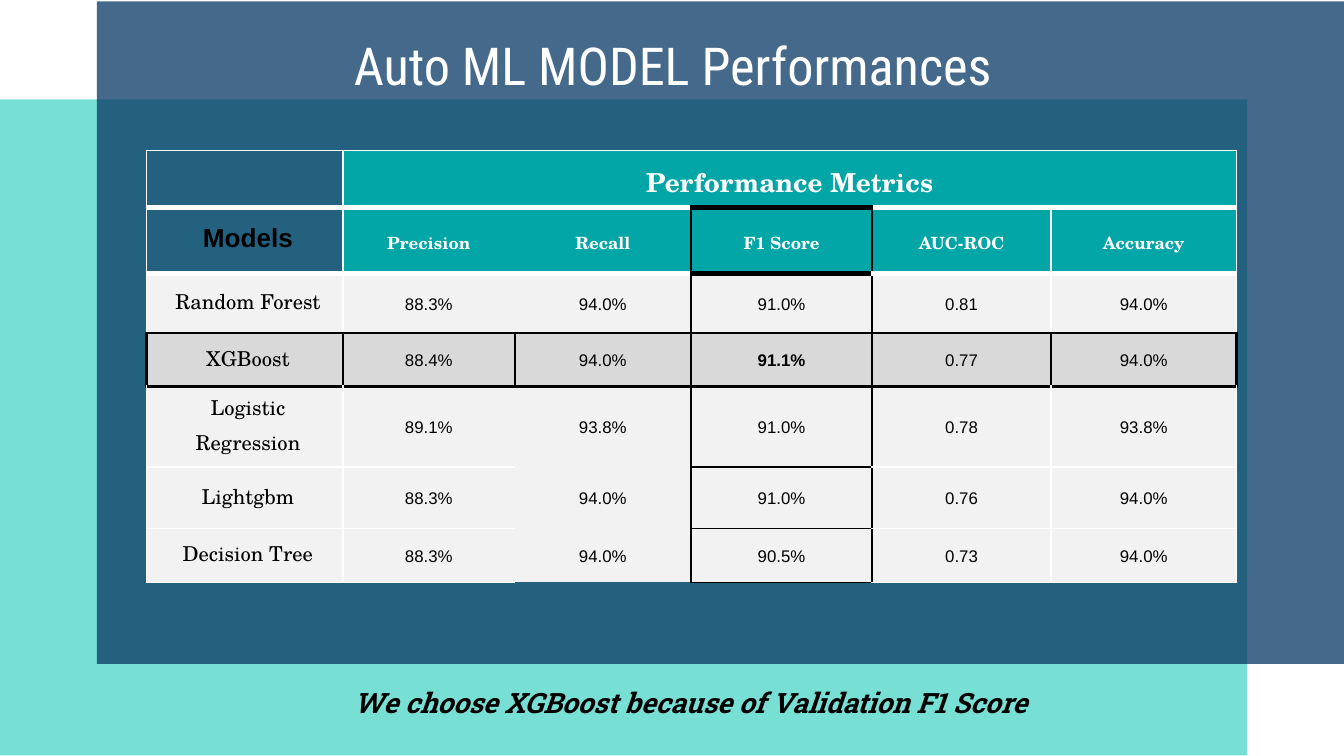
from dataclasses import dataclass
from typing import NamedTuple, Optional

from lxml import etree
from pptx import Presentation
from pptx.dml.color import RGBColor
from pptx.enum import shapes, text
from pptx.oxml import ns
from pptx.util import Inches, Pt


@dataclass(frozen=True)
class Theme:
    white: str = "FFFFFF"
    black: str = "000000"
    mint: str = "00C3B1"
    navy: str = "073763"
    teal: str = "03A6A6"
    pale: str = "F2F2F2"
    chosen: str = "D9D9D9"
    title_font: str = "Roboto Condensed"
    caption_font: str = "Roboto Slab"
    serif: str = "TeX Gyre Schola"
    sans: str = "Arial"
    title_size: int = 28
    caption_size: int = 15
    heading_size: int = 14
    model_size: int = 11
    value_size: int = 9


class Panel(NamedTuple):
    left: float
    top: float
    width: float
    height: float
    color: str
    opacity: int


class Edge(NamedTuple):
    color: str
    width: float


class Model(NamedTuple):
    name: str
    scores: tuple[str, ...]


THEME = Theme()
PANELS = (
    Panel(0, 0.74, 9.28, 4.88, THEME.mint, 53),
    Panel(0.72, 0.01, 9.28, 4.93, THEME.navy, 75),
)
METRICS = ("Precision", "Recall", "F1 Score", "AUC-ROC", "Accuracy")
MODELS = (
    Model("Random Forest", ("88.3%", "94.0%", "91.0%", "0.81", "94.0%")),
    Model("XGBoost", ("88.4%", "94.0%", "91.1%", "0.77", "94.0%")),
    Model("Logistic Regression", ("89.1%", "93.8%", "91.0%", "0.78", "93.8%")),
    Model("Lightgbm", ("88.3%", "94.0%", "91.0%", "0.76", "94.0%")),
    Model("Decision Tree", ("88.3%", "94.0%", "90.5%", "0.73", "94.0%")),
)
COLUMN_WIDTHS = (1.46, 1.28, 1.31, 1.35, 1.33, 1.38)
ROW_HEIGHTS = (0.4, 0.49, 0.44, 0.4, 0.4, 0.46, 0.4)
RECALL, F1_SCORE = 2, 3  # table columns
CHOSEN_ROW = 3
THIN = Edge(THEME.white, 1)
OUTLINE = Edge(THEME.black, 1.5)


def write(frame, words: str, *, font: str, size: float, color: str,
          bold: bool = False, italic: bool = False, spacing: float = 1.0) -> None:
    """Put one centred, formatted paragraph into a text frame."""
    frame.word_wrap = True
    paragraph = frame.paragraphs[0]
    paragraph.alignment = text.PP_ALIGN.CENTER
    paragraph.line_spacing = spacing
    run = paragraph.add_run()
    run.text = words
    run.font.name = font
    run.font.size = Pt(size)
    run.font.bold = bold
    run.font.italic = italic
    run.font.color.rgb = RGBColor.from_string(color)


def set_frame(frame, anchor) -> None:
    frame.auto_size = text.MSO_AUTO_SIZE.NONE
    frame.vertical_anchor = anchor
    frame.margin_left = frame.margin_right = Inches(0.1)
    frame.margin_top = frame.margin_bottom = Inches(0.1)


def draw_panel(slide, panel: Panel) -> None:
    rect = slide.shapes.add_shape(
        shapes.MSO_SHAPE.RECTANGLE, Inches(panel.left), Inches(panel.top),
        Inches(panel.width), Inches(panel.height))
    rect.shadow.inherit = False
    rect.line.fill.background()
    rect.fill.solid()
    rect.fill.fore_color.rgb = RGBColor.from_string(panel.color)
    color = next(rect.element.spPr.iter(ns.qn("a:srgbClr")))
    etree.SubElement(color, ns.qn("a:alpha"), val=str(panel.opacity * 1000))


def vertical_edge(row: int, line: int) -> Optional[Edge]:
    """Edge on the left of column number `line`."""
    if row == 0:
        return THIN
    if row == CHOSEN_ROW or line == F1_SCORE:
        return OUTLINE
    if line == F1_SCORE + 1:
        return Edge(THEME.black, 1)
    return None if line == RECALL else THIN


def horizontal_edge(line: int, column: int) -> Optional[Edge]:
    """Edge above row number `line`."""
    if line == 0:
        return THIN
    if line in (CHOSEN_ROW, CHOSEN_ROW + 1):
        return OUTLINE
    color = THEME.black if column == F1_SCORE else THEME.white
    if line < CHOSEN_ROW:
        return Edge(color, 3)
    return None if column == RECALL else Edge(color, 1)


def draw_border(cell, side: str, edge: Optional[Edge]) -> None:
    line = etree.SubElement(cell._tc.get_or_add_tcPr(), ns.qn(f"a:ln{side}"))
    if edge is None:
        etree.SubElement(line, ns.qn("a:noFill"))
        return
    line.set("w", str(Pt(edge.width)))
    fill = etree.SubElement(line, ns.qn("a:solidFill"))
    etree.SubElement(fill, ns.qn("a:srgbClr"), val=edge.color)


def set_margins(cell, row: int, column: int) -> None:
    is_label = column == 0 and row > 0
    is_empty = row == 0 and column != 1
    cell.margin_left = Inches(0.07)
    cell.margin_right = Inches(0.02 if is_label else 0.07)
    cell.margin_top = Inches(0.01 if is_label or is_empty else 0.04)
    cell.margin_bottom = Inches(0.07 if is_label else 0.01 if is_empty else 0.04)


def style_cell(cell, row: int, column: int) -> None:
    cell.vertical_anchor = text.MSO_ANCHOR.MIDDLE
    set_margins(cell, row, column)
    draw_border(cell, "L", vertical_edge(row, column))
    draw_border(cell, "R", vertical_edge(row, column + 1))
    draw_border(cell, "T", horizontal_edge(row, column))
    draw_border(cell, "B", horizontal_edge(row + 1, column))
    if row < 2 and column == 0:
        cell.fill.background()
        return
    cell.fill.solid()
    body = THEME.chosen if row == CHOSEN_ROW else THEME.pale
    cell.fill.fore_color.rgb = RGBColor.from_string(THEME.teal if row < 2 else body)


def draw_scores(slide) -> None:
    scores = slide.shapes.add_table(
        len(ROW_HEIGHTS), len(COLUMN_WIDTHS), Inches(1.09), Inches(1.12),
        Inches(sum(COLUMN_WIDTHS)), Inches(sum(ROW_HEIGHTS))).table
    scores.first_row = scores.horz_banding = False
    for column, width in zip(scores.columns, COLUMN_WIDTHS):
        column.width = Inches(width)
    for row, height in zip(scores.rows, ROW_HEIGHTS):
        row.height = Inches(height)
    for row in range(len(ROW_HEIGHTS)):
        for column in range(len(COLUMN_WIDTHS)):
            style_cell(scores.cell(row, column), row, column)

    # Headings
    scores.cell(0, 1).merge(scores.cell(0, len(METRICS)))
    write(scores.cell(0, 1).text_frame, "Performance Metrics", font=THEME.serif,
          size=THEME.heading_size, color=THEME.white, bold=True, spacing=1.15)
    write(scores.cell(1, 0).text_frame, "Models", font=THEME.sans,
          size=THEME.heading_size, color=THEME.black, bold=True, spacing=1.15)
    for column, metric in enumerate(METRICS, 1):
        write(scores.cell(1, column).text_frame, metric, font=THEME.serif,
              size=THEME.value_size, color=THEME.white, bold=True, spacing=1.15)

    # One row per model
    for row, model in enumerate(MODELS, 2):
        write(scores.cell(row, 0).text_frame, model.name, font=THEME.serif,
              size=THEME.model_size, color=THEME.black, spacing=1.15)
        for column, score in enumerate(model.scores, 1):
            write(scores.cell(row, column).text_frame, score, font=THEME.sans,
                  size=THEME.value_size, color=THEME.black, spacing=1.15,
                  bold=(row, column) == (CHOSEN_ROW, F1_SCORE))


def main() -> None:
    deck = Presentation()
    deck.slide_width = Inches(10)
    deck.slide_height = deck.slide_width * 9 // 16
    slide = deck.slides.add_slide(deck.slide_layouts[5])

    # Overlapping backdrop
    for panel in PANELS:
        draw_panel(slide, panel)

    # Title, brought in front of the backdrop
    title = slide.shapes.title
    slide.shapes.element.append(title.element)
    title.left, title.top = Inches(0.79), Inches(0.26)
    title.width, title.height = Inches(8.43), Inches(0.44)
    set_frame(title.text_frame, text.MSO_ANCHOR.MIDDLE)
    write(title.text_frame, "Auto ML MODEL Performances", font=THEME.title_font,
          size=THEME.title_size, color=THEME.white)

    # Conclusion
    conclusion = slide.shapes.add_textbox(
        Inches(2.27), Inches(4.76), Inches(5.74), Inches(0.69))
    set_frame(conclusion.text_frame, text.MSO_ANCHOR.BOTTOM)
    write(conclusion.text_frame, "We choose XGBoost because of Validation F1 Score",
          font=THEME.caption_font, size=THEME.caption_size, color=THEME.black,
          bold=True, italic=True)

    draw_scores(slide)
    deck.save("out.pptx")


if __name__ == "__main__":
    main()
